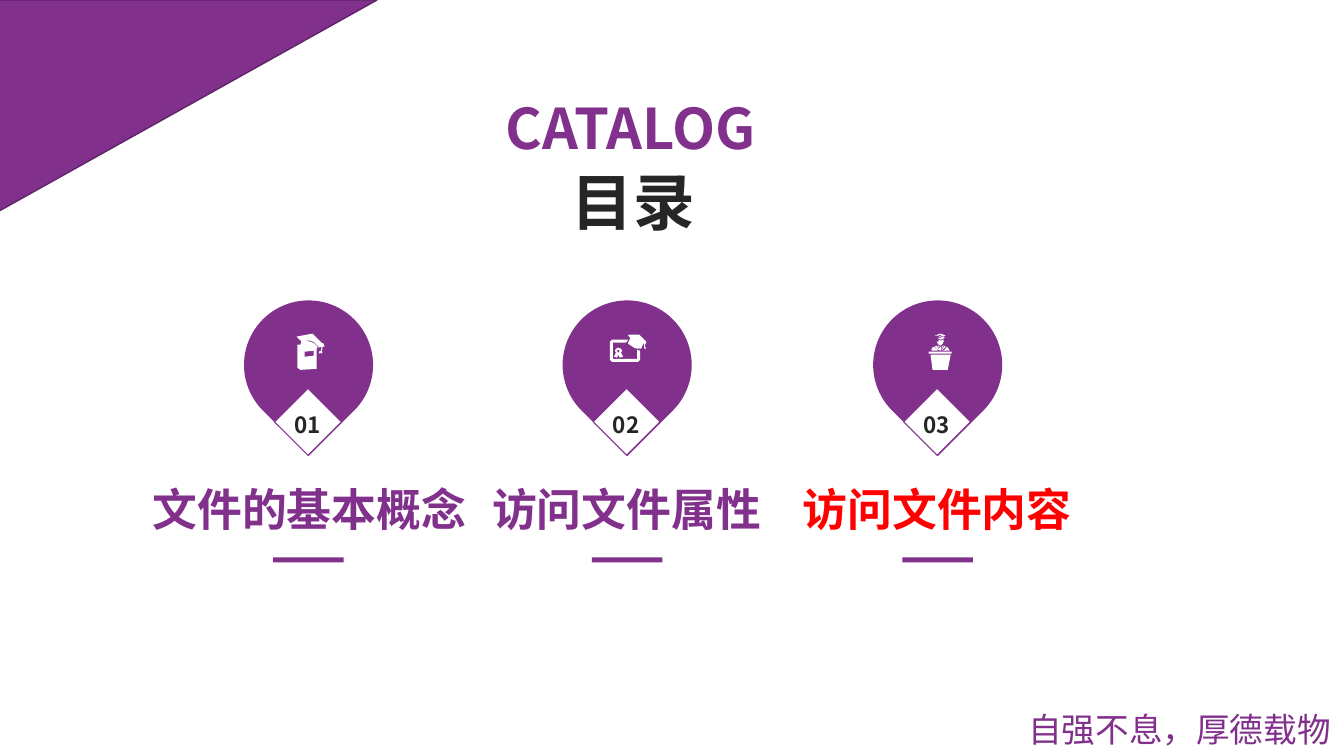
from dataclasses import dataclass

from pptx import Presentation
from pptx.dml.color import RGBColor
from pptx.enum.shapes import MSO_SHAPE as Shape
from pptx.enum.text import MSO_AUTO_SIZE as Fit, PP_ALIGN as Align
from pptx.oxml.ns import qn
from pptx.shapes.autoshape import Shape as Auto
from pptx.shapes.shapetree import GroupShapes, SlideShapes
from pptx.util import Pt

PX = 9144
FONT = "Noto Sans CJK SC"
HUES = {
    "plum": "81308C",
    "edge": "5F2468",
    "ink": "262626",
    "red": "FF0000",
    "white": "FFFFFF",
}

Tree = SlideShapes | GroupShapes
Box = tuple[int, int, int, int]
Loop = list[tuple[int, int]]


@dataclass(frozen=True)
class Topic:
    left: int
    num: str
    title: str
    hue: str
    start: int
    width: int
    icon: list[Loop]


BOOK: list[Loop] = [
    [(311, 348), (302, 349), (302, 354), (311, 353)],
    [(299, 342), (302, 343), (307, 344), (312, 346), (314, 347), (314, 366),
     (298, 367), (295, 365), (295, 342)],
    [(302, 338), (308, 339), (312, 341), (315, 344), (314, 347), (307, 344),
     (303, 343), (298, 342), (299, 338)],
    [(310, 331), (319, 340), (321, 341), (322, 344), (320, 344), (319, 349),
     (320, 349), (319, 351), (318, 350), (316, 351), (317, 348), (318, 349),
     (319, 344), (316, 345), (316, 344), (312, 340), (308, 338), (299, 338),
     (298, 338), (294, 334)],
]
AWARD: list[Loop] = [
    [(613, 347), (612, 348), (613, 350), (615, 348)],
    [(613, 345), (616, 346), (617, 348), (616, 350), (618, 354), (616, 354),
     (615, 355), (613, 352), (612, 355), (611, 354), (609, 354), (611, 350),
     (610, 348), (611, 346)],
    [(607, 337), (623, 337), (621, 340), (608, 340), (608, 356), (632, 356),
     (632, 347), (635, 348), (635, 357), (633, 359), (607, 359), (605, 357),
     (605, 339)],
    [(624, 332), (634, 332), (641, 339), (641, 341), (640, 341), (640, 344),
     (641, 346), (639, 346), (639, 341), (638, 341), (636, 346), (632, 346),
     (629, 345), (623, 341), (623, 340), (625, 336), (625, 335), (623, 333)],
]
SPEECH: list[Loop] = [
    [(923, 352), (943, 352), (940, 367), (925, 367)],
    [(921, 349), (944, 349), (944, 351), (921, 351)],
    [(933, 344), (934, 346), (933, 348), (931, 346)],
    [(939, 344), (941, 346), (942, 348), (935, 348), (937, 347)],
    [(926, 344), (930, 347), (930, 348), (924, 348), (924, 346)],
    [(937, 343), (938, 344), (934, 348), (935, 346)],
    [(929, 343), (932, 348), (927, 344)],
    [(936, 343), (935, 345), (934, 344), (935, 343)],
    [(930, 343), (931, 343), (932, 344), (931, 345)],
    [(931, 337), (933, 338), (936, 337), (936, 339), (935, 341), (933, 343),
     (931, 342), (929, 339), (931, 339)],
    [(933, 335), (936, 334), (937, 335), (936, 336), (933, 337), (931, 336),
     (930, 335)],
    [(933, 331), (938, 333), (933, 334), (931, 334), (934, 333), (933, 332),
     (931, 333), (927, 333)],
]
TOPICS = [
    Topic(242, "01", "文件的基本概念", "plum", 140, 334, BOOK),
    Topic(558, "02", "访问文件属性", "plum", 477, 289, AWARD),
    Topic(866, "03", "访问文件内容", "red", 785, 289, SPEECH),
]


def tint(name: str) -> RGBColor:
    return RGBColor.from_string(HUES[name])


def paint(item: Auto, hue: str, edge: str = "", thick: float = 1) -> None:
    item.shadow.inherit = False
    item.fill.solid()
    item.fill.fore_color.rgb = tint(hue)
    if edge:
        item.line.color.rgb = tint(edge)
        item.line.width = Pt(thick)
    else:
        item.line.fill.background()


def shape(tree: Tree, kind: Shape, box: Box, hue: str, turn: int = 0,
          edge: str = "", thick: float = 1) -> None:
    item = tree.add_shape(kind, *(n * PX for n in box))
    item.rotation = turn
    paint(item, hue, edge, thick)


def text(tree: Tree, words: str, box: Box, *, size: int, hue: str = "plum",
         bold: bool = True, wrap: bool = False,
         align: Align = Align.LEFT) -> None:
    frame = tree.add_textbox(*(n * PX for n in box)).text_frame
    frame.word_wrap = wrap
    frame.auto_size = Fit.SHAPE_TO_FIT_TEXT
    para = frame.paragraphs[0]
    para.alignment = align
    run = para.add_run()
    run.text = words
    font = run.font
    font.name = FONT
    font.size = Pt(size)
    font.bold = bold
    font.color.rgb = tint(hue)
    east = run._r.get_or_add_rPr().makeelement(qn("a:ea"), {"typeface": FONT})
    run._r.rPr.find(qn("a:latin")).addnext(east)


def draw(tree: Tree, loops: list[Loop]) -> None:
    pen = tree.build_freeform(*loops[0][0], scale=PX)
    for loop in loops:
        pen.move_to(*loop[0])
        pen.add_line_segments(loop[1:], close=True)
    paint(pen.convert_to_shape(), "white")


def pin(tree: Tree, topic: Topic) -> None:
    x = topic.left
    shape(tree, Shape.TEAR, (x, 298, 128, 128), "plum", turn=135)
    shape(tree, Shape.RECTANGLE, (x + 40, 395, 47, 47), "white", turn=45,
          edge="plum", thick=0.75)
    draw(tree, topic.icon)
    text(tree, topic.num, (x + 40, 403, 48, 37), size=16, hue="ink")


def main() -> None:
    deck = Presentation()
    deck.slide_width, deck.slide_height = 1333 * PX, 750 * PX
    tree = deck.slides.add_slide(deck.slide_layouts[6]).shapes
    shape(tree, Shape.RIGHT_TRIANGLE, (81, -83, 210, 376), "plum", turn=90,
          edge="edge")
    text(tree, "自强不息，厚德载物", (1010, 698, 324, 50), size=24,
         bold=False, wrap=True)
    text(tree, "目录", (557, 158, 144, 84), size=44, hue="ink")
    text(tree, "CATALOG", (492, 88, 287, 77), size=40)
    for topic in TOPICS:
        shape(tree, Shape.RECTANGLE, (topic.left + 29, 553, 70, 5), "plum")
        pin(tree.add_group_shape().shapes, topic)
        text(tree, topic.title, (topic.start, 473, topic.width, 64), size=32,
             hue=topic.hue, align=Align.CENTER)
    deck.save("out.pptx")


if __name__ == "__main__":
    main()
